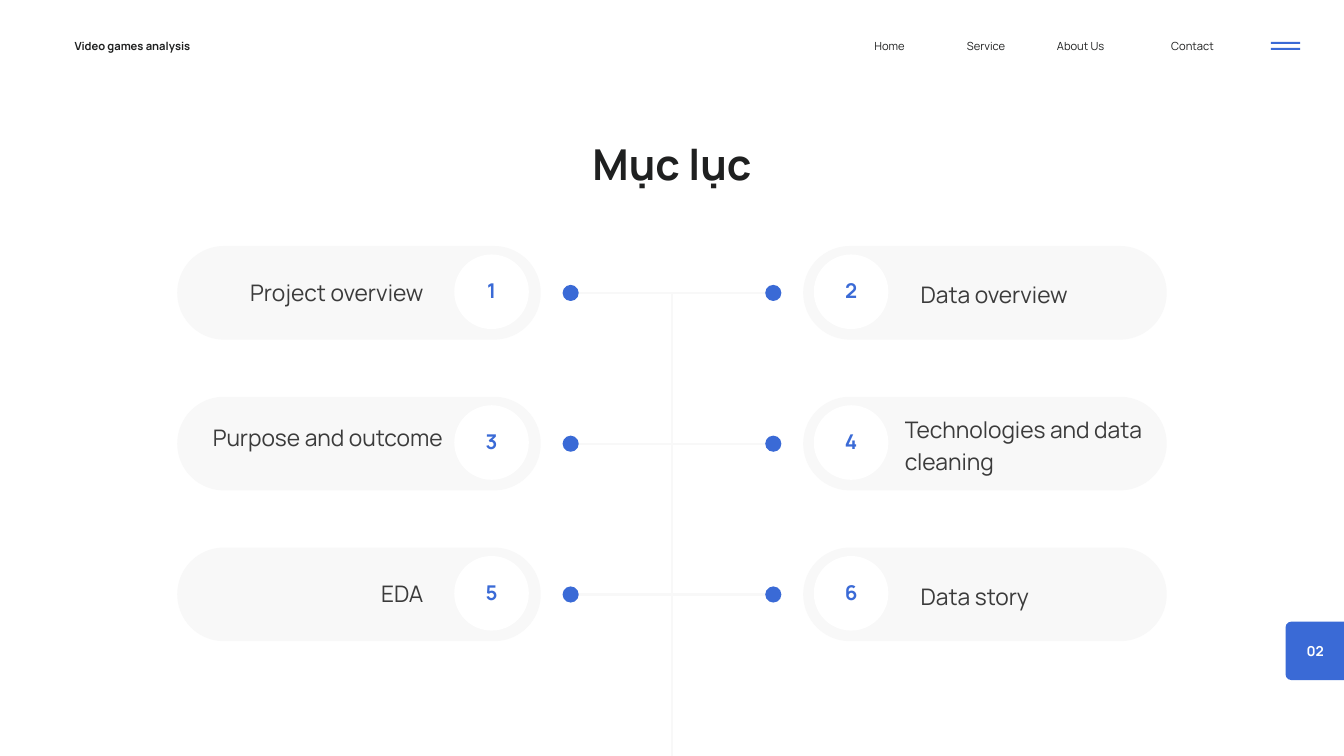
from collections import namedtuple
from dataclasses import dataclass

from lxml import etree
from pptx import Presentation
from pptx import util as u
from pptx.dml.color import RGBColor
from pptx.enum import shapes, text
from pptx.oxml import ns

Box = namedtuple("Box", "left top width height")


@dataclass(frozen=True)
class Theme:
    font: str = "Manrope"
    accent: str = "3A6AD6"
    ink: str = "1F2020"
    label_ink: str = "3B3B3B"
    pale: str = "F8F8F8"
    white: str = "FFFFFF"
    nav_size: float = 12
    tab_size: float = 14.7
    number_size: float = 21.8
    label_size: float = 24.4
    title_size: float = 45.6
    leading: float = 1.4
    line_width: float = 2.25


THEME = Theme()
KIND = shapes.MSO_SHAPE
LEFT, CENTER, RIGHT = text.PP_ALIGN.LEFT, text.PP_ALIGN.CENTER, text.PP_ALIGN.RIGHT
PAGE = Box(0, 0, 50.8, 28.58)
PILL_WIDTH, PILL_HEIGHT, PILL_MARGIN = 13.74, 3.54, 6.7
FIRST_ROW, ROW_STEP = 9.3, 5.7

Entry = namedtuple("Entry", "label x y width")
ROWS = [
    (Entry("Project overview", -0.28, 1.07, 9.58), Entry("Data overview", 4.44, 1.14, 9.58)),
    (Entry("Purpose and outcome", -1.02, 0.86, 11.05),
     Entry("Technologies and data cleaning", 3.84, 0.53, 9.53)),
    (Entry("EDA", -0.28, 1.04, 9.58), Entry("Data story", 4.44, 1.14, 9.58)),
]
NAV = [("Home", 33.05, 2.26), ("Service", 36.55, 2.03),
       ("About Us", 39.95, 2.95), ("Contact", 44.27, 2.72)]


def apply(target, values):
    for name, value in values.items():
        setattr(target, name, value)


def add_text(page, box, words, size, color, bold=False, align=LEFT):
    frame = page.shapes.add_textbox(*map(u.Cm, box)).text_frame
    apply(frame, dict(margin_left=0, margin_top=0, margin_right=0, margin_bottom=0,
                      word_wrap=True, auto_size=text.MSO_AUTO_SIZE.SHAPE_TO_FIT_TEXT))
    para = frame.paragraphs[0]
    apply(para, dict(alignment=align, line_spacing=u.Pt(round(size * THEME.leading, 1))))
    span = para.add_run()
    span.text = words
    apply(span.font, dict(name=THEME.font, size=u.Pt(size), bold=bold))
    span.font.color.rgb = RGBColor.from_string(color)


def add_block(page, kind, box, color):
    shape = page.shapes.add_shape(kind, *map(u.Cm, box))
    shape.shadow.inherit = False
    shape.fill.solid()
    shape.fill.fore_color.rgb = RGBColor.from_string(color)
    shape.line.fill.background()
    return shape


def add_line(page, *ends):
    line = page.shapes.add_connector(shapes.MSO_CONNECTOR.STRAIGHT, *map(u.Cm, ends))
    line.line.width = u.Pt(THEME.line_width)
    line.line.color.rgb = RGBColor.from_string(THEME.pale)
    etree.SubElement(line._element.spPr, ns.qn("a:effectLst"))


def draw_header(page, box):
    add_text(page, Box(box.left + 2.82, box.top, 6.58, box.height),
             "Video games analysis", THEME.nav_size, THEME.ink, True)
    for words, x, width in NAV:
        add_text(page, Box(box.left + x, box.top, width, box.height),
                 words, THEME.nav_size, THEME.ink)
    for offset in (0.16, 0.39):
        add_block(page, KIND.RECTANGLE,
                  Box(box.left + 48.04, box.top + offset, 1.1, 0.08), THEME.accent)


def draw_entry(page, box, number, entry, on_left):
    add_block(page, KIND.ROUNDED_RECTANGLE, box, THEME.pale).adjustments[0] = 0.5
    size = 2.82
    x = box.left + (10.47 if on_left else 0.4)
    y = box.top + 0.32
    add_block(page, KIND.OVAL, Box(x, y, size, size), THEME.white)
    add_text(page, Box(box.left + entry.x, box.top + entry.y, entry.width, 1.22),
             entry.label, THEME.label_size, THEME.label_ink, align=RIGHT if on_left else LEFT)
    add_text(page, Box(x + 0.38, y + 0.76, size - 0.76, 1.12),
             str(number), THEME.number_size, THEME.accent, True, CENTER)


def draw_link(page, box):
    middle = box.top + box.height / 2
    ends = (box.left, box.left + box.width)
    add_line(page, ends[0], middle, ends[1], middle)
    for x in ends:
        add_block(page, KIND.OVAL,
                  Box(x - box.height / 2, box.top, box.height, box.height), THEME.accent)


def draw_contents(page, box):
    center = box.left + box.width / 2
    lefts = (box.left, box.left + box.width - PILL_WIDTH)
    for row, entries in enumerate(ROWS):
        top = box.top + row * ROW_STEP
        for side, entry in enumerate(entries):
            draw_entry(page, Box(lefts[side], top, PILL_WIDTH, PILL_HEIGHT),
                       2 * row + side + 1, entry, side == 0)
        draw_link(page, Box(center - 3.83, top + 1.47, 7.66, 0.61))
    add_line(page, center, box.top + 1.83, center, box.top + box.height)


def draw_page_tab(page, box):
    add_block(page, KIND.ROUNDED_RECTANGLE, box, THEME.accent).adjustments[0] = 0.1
    add_text(page, Box(box.left + 0.51, box.top + 0.71, 1.22, 0.71),
             "02", THEME.tab_size, THEME.white, True, CENTER)


def main():
    deck = Presentation()
    apply(deck, dict(slide_width=u.Cm(PAGE.width), slide_height=u.Cm(PAGE.height)))
    page = deck.slides.add_slide(deck.slide_layouts[6])
    draw_header(page, Box(0, 1.42, PAGE.width, 0.58))
    draw_page_tab(page, Box(48.59, 23.5, 2.64, 2.21))
    add_text(page, Box(14.85, 4.88, 21.1, 2.26), "Mục lục",
             THEME.title_size, THEME.ink, True, CENTER)
    draw_contents(page, Box(PILL_MARGIN, FIRST_ROW, PAGE.width - 2 * PILL_MARGIN,
                            PAGE.height - FIRST_ROW))
    deck.save("out.pptx")


if __name__ == "__main__":
    main()
